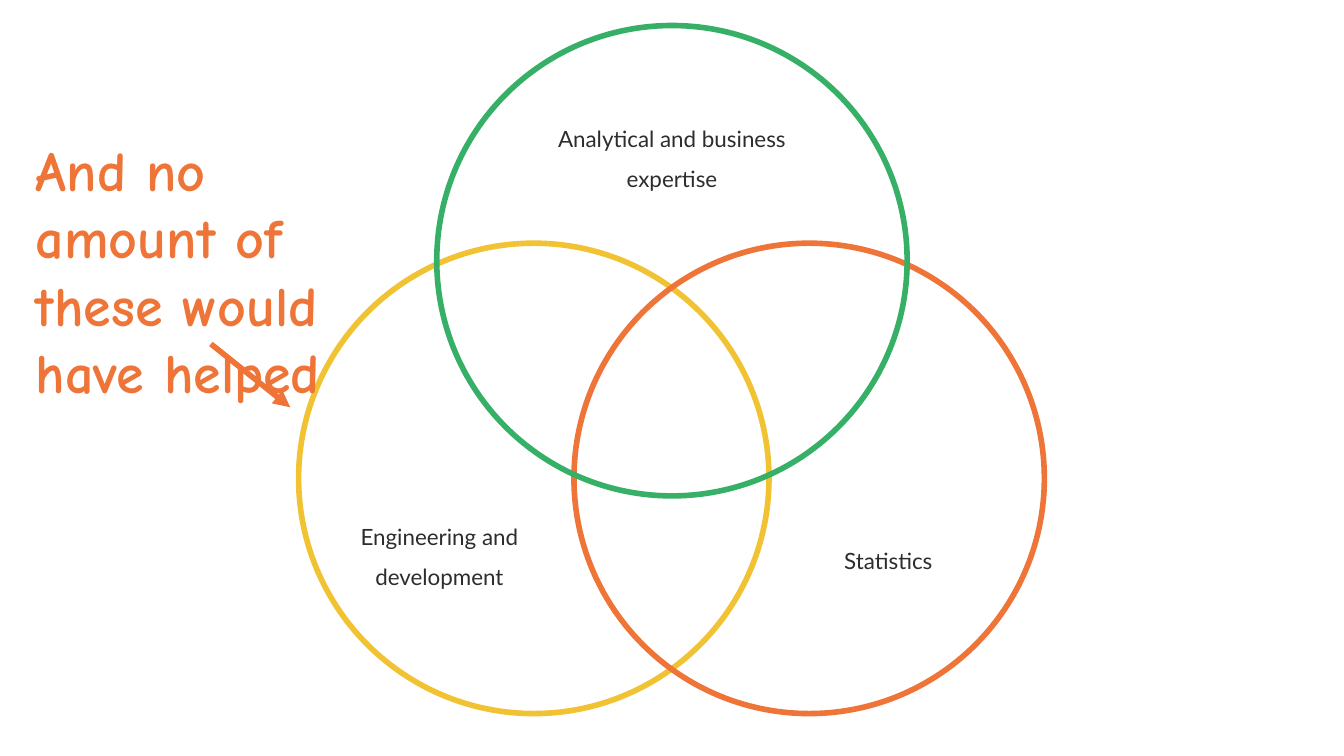
import pptx
import pptx.util
import pptx.dml.color
import pptx.enum.shapes
import pptx.enum.text
from lxml import etree
from pptx.oxml.ns import qn

Pt = pptx.util.Pt
COLORS = {"yellow": "F1C232", "orange": "EE7437", "green": "37B067", "text": "2D2D2D"}
DIAMETER = 252
LINE_WIDTH = 3


def rgb(name):
    return pptx.dml.color.RGBColor.from_string(COLORS[name])


def add_circle(s, left, top, color):
    sp = s.shapes.add_shape(pptx.enum.shapes.MSO_SHAPE.OVAL,
                            Pt(left), Pt(top), Pt(DIAMETER), Pt(DIAMETER))
    sp.shadow.inherit = False
    sp.fill.background()
    sp.line.color.rgb = rgb(color)
    sp.line.width = Pt(LINE_WIDTH)


def add_text(s, box, text, font, size, color, bold=False, align="LEFT", spacing=None):
    tf = s.shapes.add_textbox(*(Pt(v) for v in box)).text_frame
    tf.word_wrap = True
    tf.margin_left = tf.margin_right = tf.margin_top = tf.margin_bottom = Pt(7.2)
    p = tf.paragraphs[0]
    p.text = text
    p.alignment = getattr(pptx.enum.text.PP_ALIGN, align)
    p.line_spacing = spacing
    p.font.name = font
    p.font.size = Pt(size)
    p.font.bold = bold
    p.font.color.rgb = rgb(color)


def add_label(s, left, top, height, text):
    add_text(s, (left, top, 168.5, height), text, "Lato", 12, "text",
             align="CENTER", spacing=1.5)


def add_arrow(s, x1, y1, x2, y2, color):
    cx = s.shapes.add_connector(pptx.enum.shapes.MSO_CONNECTOR.STRAIGHT,
                                Pt(x1), Pt(y1), Pt(x2), Pt(y2))
    cx.line.color.rgb = rgb(color)
    cx.line.width = Pt(LINE_WIDTH)
    etree.SubElement(cx.line._get_or_add_ln(), qn("a:tailEnd"), type="triangle")
    etree.SubElement(cx._element.spPr, qn("a:effectLst"))


def main():
    prs = pptx.Presentation()
    prs.slide_width, prs.slide_height = Pt(720), Pt(405)
    s = prs.slides.add_slide(prs.slide_layouts[6])

    # Venn circles: two below, one centred above
    add_circle(s, 160, 130.3, "yellow")
    add_circle(s, 307.5, 130.3, "orange")
    add_circle(s, 234, 13.7, "green")

    # Circle labels
    add_label(s, 275.8, 52.6, 70.6, "Analytical and business expertise")
    add_label(s, 151.2, 265.7, 70.6, "Engineering and development")
    add_label(s, 391.7, 278.6, 57.6, "Statistics")

    # Remark and its arrow
    add_text(s, (12.2, 65.5, 184.3, 86.4), "And no amount of these would have helped",
             "Comic Neue", 30, "orange", bold=True)
    add_arrow(s, 113, 184.3, 155.5, 218.2, "orange")

    prs.save("out.pptx")


if __name__ == "__main__":
    main()
